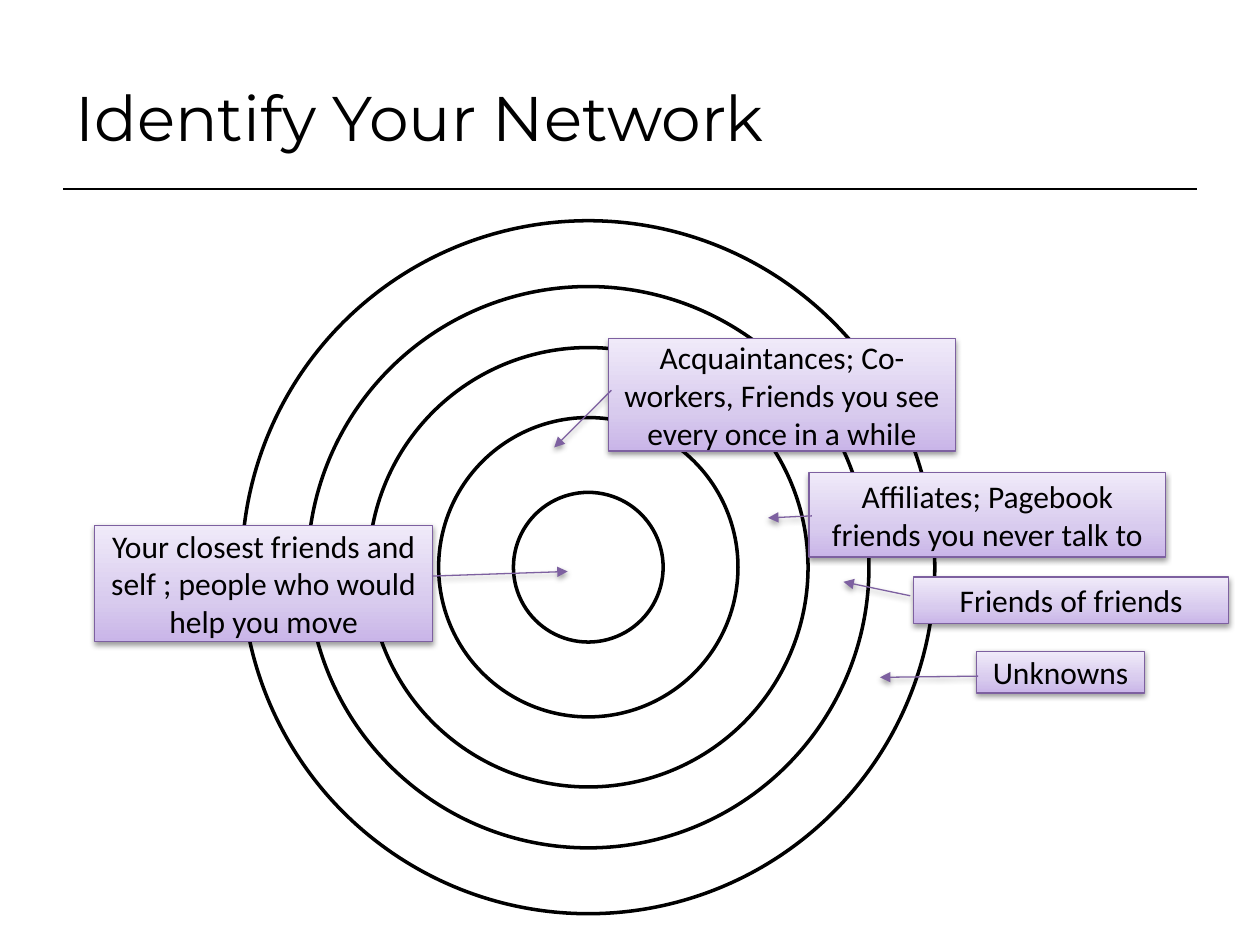
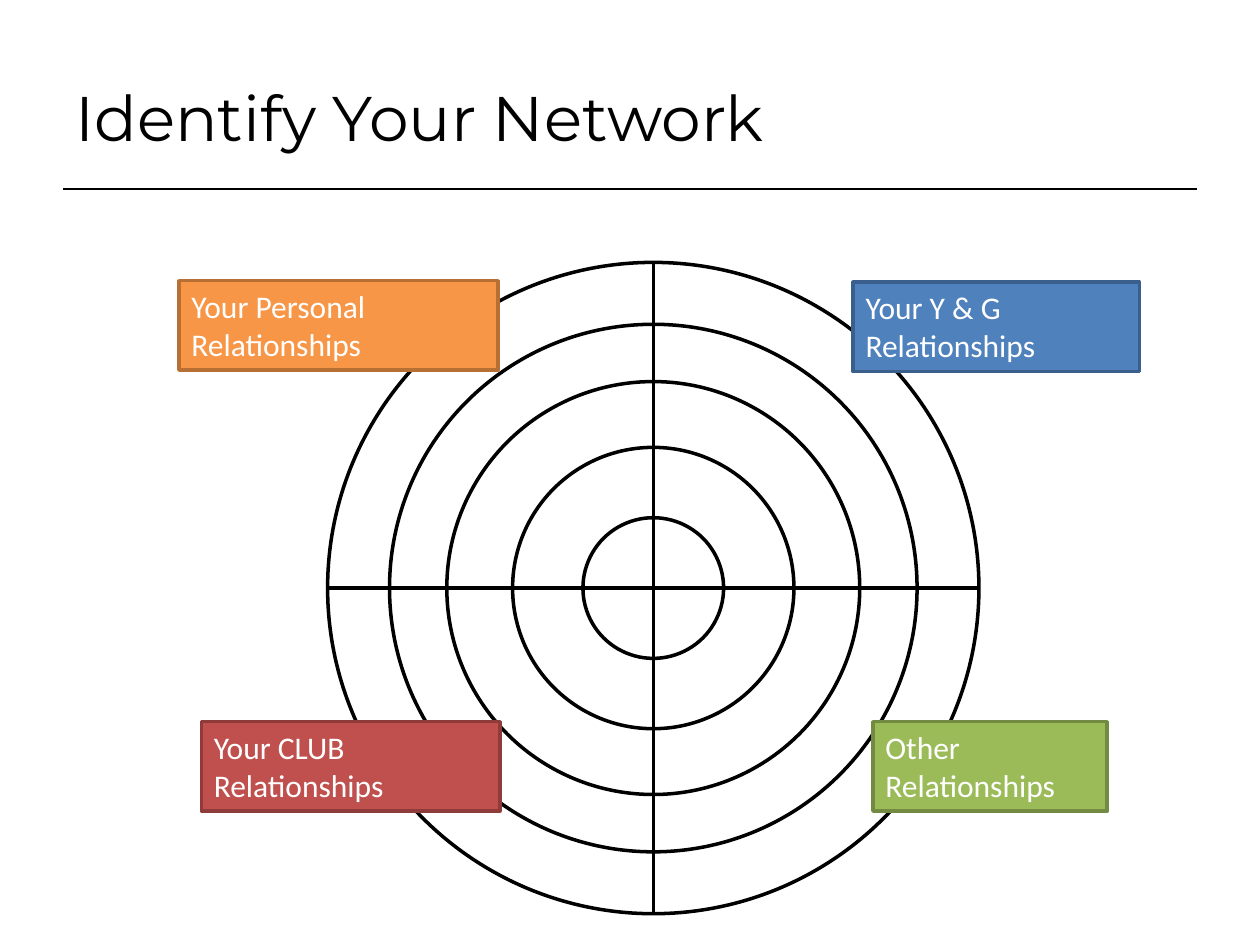
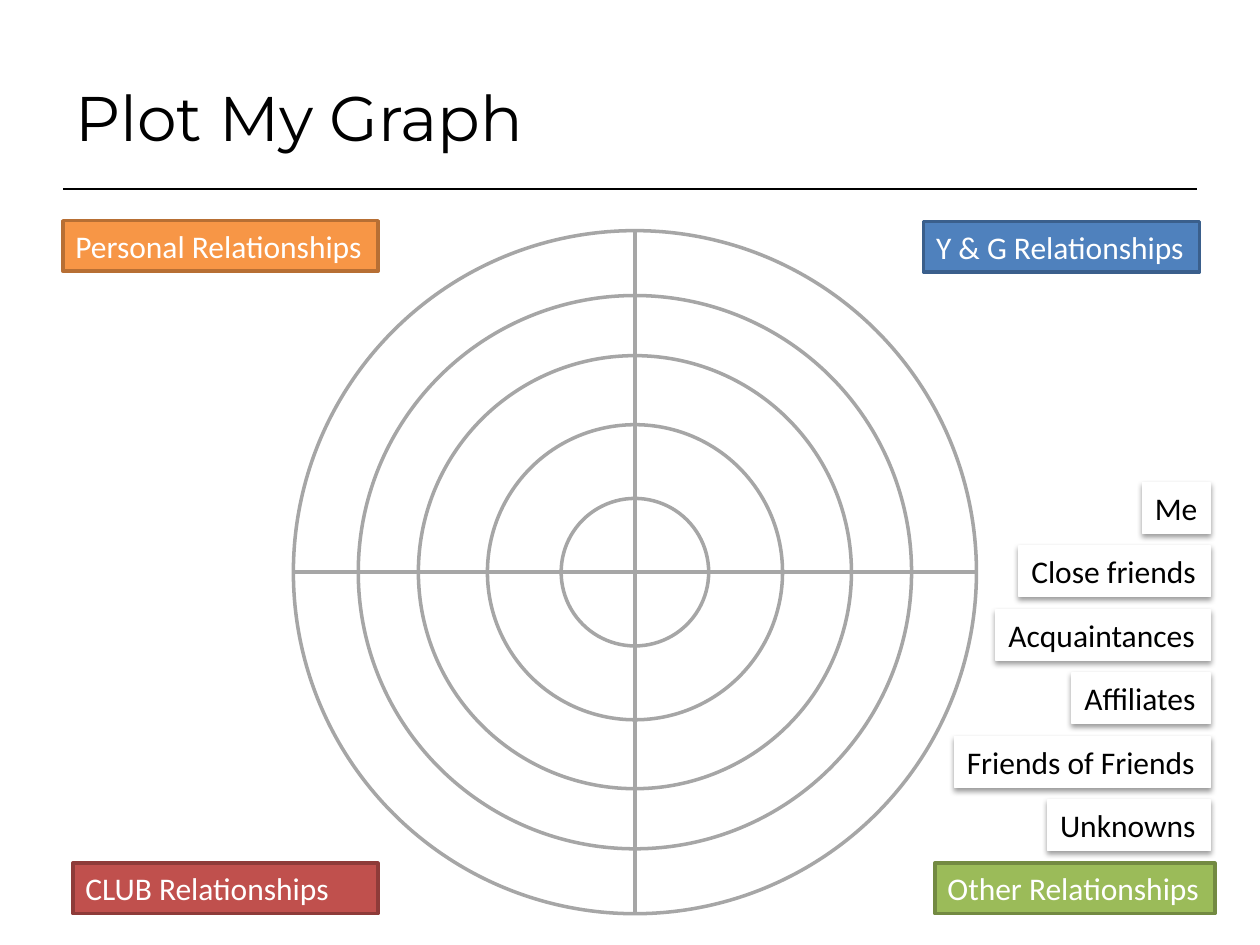
from copy import deepcopy

from lxml import etree
from pptx import Presentation
from pptx.dml.color import RGBColor
from pptx.enum.shapes import MSO_CONNECTOR, MSO_SHAPE
from pptx.enum.text import MSO_ANCHOR, MSO_AUTO_SIZE, PP_ALIGN
from pptx.oxml.ns import qn
from pptx.util import Cm, Pt

RECT = MSO_SHAPE.RECTANGLE
OVAL = MSO_SHAPE.OVAL
CALL = MSO_SHAPE.LINE_CALLOUT_1
LINE = MSO_CONNECTOR.STRAIGHT
LEFT, MID = PP_ALIGN.LEFT, PP_ALIGN.CENTER
TOP, HALF = MSO_ANCHOR.TOP, MSO_ANCHOR.MIDDLE
GROW, FIXED = MSO_AUTO_SIZE.SHAPE_TO_FIT_TEXT, MSO_AUTO_SIZE.NONE

HUES = {
    "black": "000000", "white": "FFFFFF", "gray": "A6A6A6",
    "red": "C0504D", "red edge": "8E3B39",
    "orange": "F79646", "orange edge": "B76F34",
    "blue": "4F81BD", "blue edge": "3A5F8C",
    "green": "9BBB59", "green edge": "738A42",
    "plum": "7D60A0", "deep": "C9B5E8", "soft": "D8CBEE", "pale": "F0EAF9",
}
INK = {name: RGBColor.from_string(code) for name, code in HUES.items()}
FADE = [(0, "deep"), (0.35, "soft"), (1, "pale")]


def write(shape, text, font="Calibri", size=18, hue="black", align=LEFT,
          anchor=TOP, wrap=True, fit=FIXED):
    frame = shape.text_frame
    frame.word_wrap = wrap
    frame.auto_size = fit
    frame.vertical_anchor = anchor
    para = frame.paragraphs[0]
    para.alignment = align
    run = para.add_run()
    run.text = text
    run.font.name = font
    run.font.size = Pt(size)
    run.font.color.rgb = INK[hue]


def draw(shapes, kind, place, fill="white", edge="black", width=2, shade=False):
    spot = [Cm(v) for v in place]
    if kind is LINE:
        item = shapes.add_connector(LINE, *spot)
    else:
        item = shapes.add_shape(kind, *spot)
        item.shadow.inherit = False
        item.fill.solid()
        item.fill.fore_color.rgb = INK[fill]
    item.line.color.rgb = INK[edge]
    item.line.width = Pt(width)
    if kind is LINE:
        etree.SubElement(item._element.spPr, qn("a:effectLst"))
    if shade:
        glow = etree.SubElement(
            item._element.spPr.find(qn("a:effectLst")), qn("a:outerShdw"),
            blurRad="40000", dist="20000", dir="5400000", rotWithShape="0")
        tone = etree.SubElement(glow, qn("a:srgbClr"), val=HUES["black"])
        etree.SubElement(tone, qn("a:alpha"), val="38000")
    return item


deck = Presentation()
deck.slide_width = Cm(25.4)
deck.slide_height = Cm(19.05)

BASE = 18.42
RATIOS = [1, 0.81, 0.634, 0.432, 0.216]
pages = [
    ("Identify Your Network", 11.86, 13.97, "black", False),
    ("Identify Your Network", 13.17, 13.13, "black", True),
    ("Plot My Graph", 12.8, 13.77, "gray", True),
]
slides = []
for title, mid, size, hue, cross in pages:
    slide = deck.slides.add_slide(deck.slide_layouts[6])
    slides.append(slide.shapes)
    draw(slide.shapes, LINE, (1.27, 3.81, 24.13, 3.81), width=1)
    head = slide.shapes.add_textbox(Cm(1.27), Cm(0.76), Cm(22.86), Cm(3.18))
    write(head, title, font="Montserrat", size=36, anchor=HALF)
    half = size / 2
    level = BASE - half
    rings = slide.shapes.add_group_shape().shapes
    for ratio in RATIOS:
        reach = half * ratio
        draw(rings, OVAL, (mid - reach, level - reach, 2 * reach, 2 * reach),
             edge=hue)
    if cross:
        draw(slide.shapes, LINE, (mid, level - half, mid, BASE), edge=hue)
        draw(slide.shapes, LINE, (mid - half, level, mid + half, level), edge=hue)

notes = [
    ("Your closest friends and self ; people who would help you move",
     (1.91, 10.59, 6.81, 2.34), (0.438, 0.998, 0.398, 1.4)),
    ("Acquaintances; Co-workers, Friends you see every once in a while",
     (12.27, 6.83, 6.99, 2.26), (0.46, 0.008, 0.97, -0.157)),
    ("Affiliates; Pagebook friends you never talk to",
     (16.31, 9.53, 7.19, 1.7), (0.512, 0.008, 0.536, -0.115)),
    ("Friends of friends",
     (18.42, 11.63, 6.35, 0.94), (0.406, -0.011, 0.107, -0.223)),
    ("Unknowns",
     (19.69, 13.13, 3.38, 0.84), (0.597, 0.008, 0.625, -0.577)),
]
for text, place, aim in notes:
    note = draw(slides[0], CALL, place, edge="plum", width=0.75, shade=True)
    for i, value in enumerate(aim):
        note.adjustments[i] = value
    note.fill.gradient()
    note.fill.gradient_angle = 90
    spec = note._element.spPr
    stops = spec.find(qn("a:gradFill")).find(qn("a:gsLst"))
    stops.insert(1, deepcopy(stops[0]))
    for stop, (point, hue) in zip(note.fill.gradient_stops, FADE):
        stop.position = point
        stop.color.rgb = INK[hue]
    etree.SubElement(spec.find(qn("a:ln")), qn("a:tailEnd"), type="triangle")
    write(note, text, align=MID, anchor=HALF)

labels = [
    (1, "Your CLUB Relationships", "red", (4.06, 14.55, 6.02, 1.8)),
    (1, "Your Personal Relationships", "orange", (3.61, 5.66, 6.43, 1.8)),
    (1, "Your Y & G Relationships", "blue", (17.2, 5.69, 5.77, 1.8)),
    (1, "Other Relationships", "green", (17.6, 14.55, 4.72, 1.8)),
    (2, "CLUB Relationships", "red", (1.47, 17.4, 6.15, 1.02)),
    (2, "Personal Relationships", "orange", (1.27, 4.45, 6.35, 1.02)),
    (2, "Y & G Relationships", "blue", (18.62, 4.47, 5.56, 1.02)),
    (2, "Other Relationships", "green", (18.85, 17.4, 5.64, 1.02)),
]
for page, text, hue, place in labels:
    label = draw(slides[page], RECT, place, fill=hue, edge=hue + " edge")
    write(label, text, hue="white", fit=GROW, wrap=page == 1 or hue == "red")

tags = [("Me", 1.37), ("Close friends", 3.86), ("Acquaintances", 4.32),
        ("Affiliates", 2.79), ("Friends of Friends", 5.16), ("Unknowns", 3.28)]
for i, (text, wide) in enumerate(tags):
    tag = draw(slides[2], RECT, (24.4 - wide, 9.73 + 1.28 * i, wide, 1.02),
               edge="white", width=0.75, shade=True)
    write(tag, text, wrap=False, fit=GROW)

deck.save("out.pptx")
